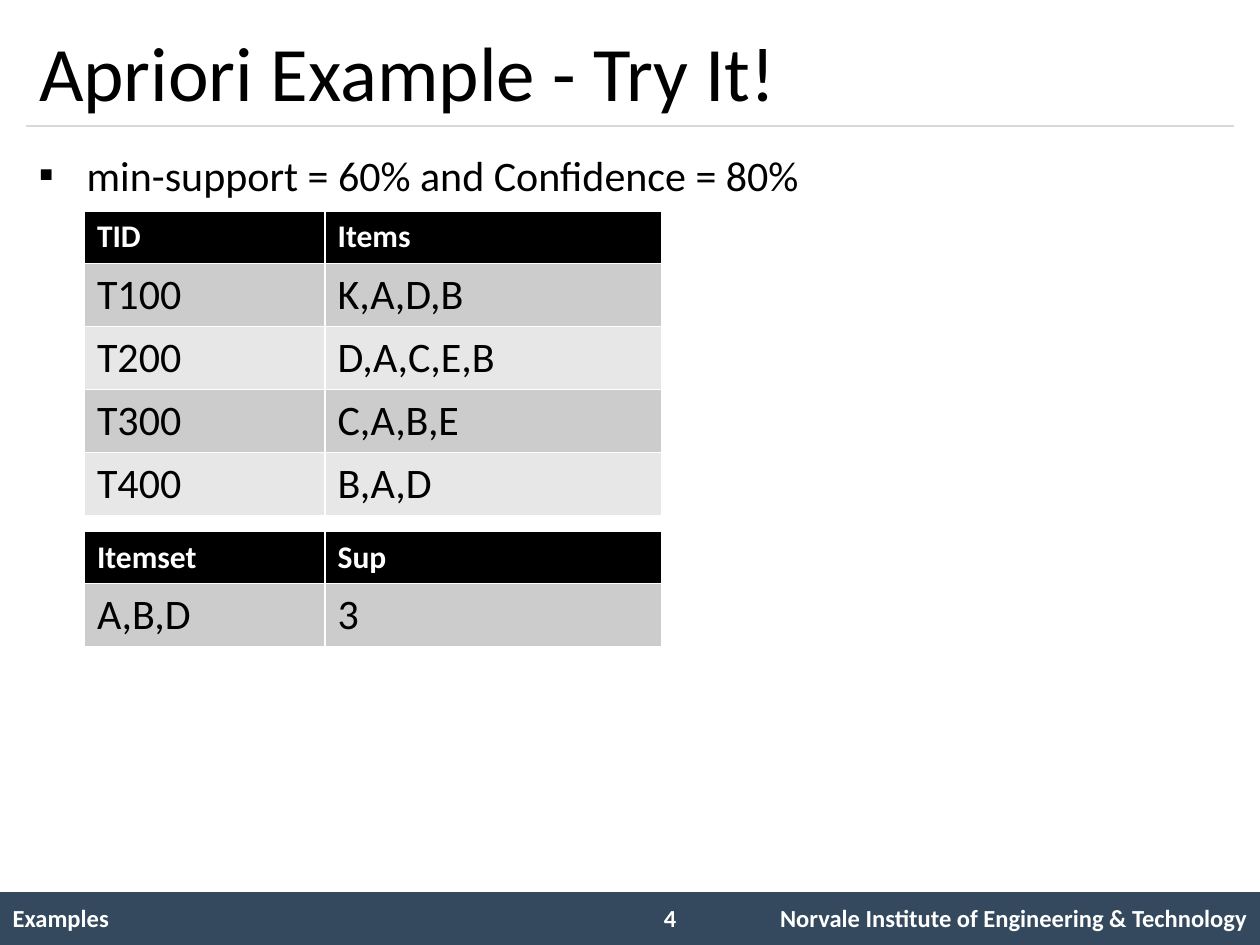
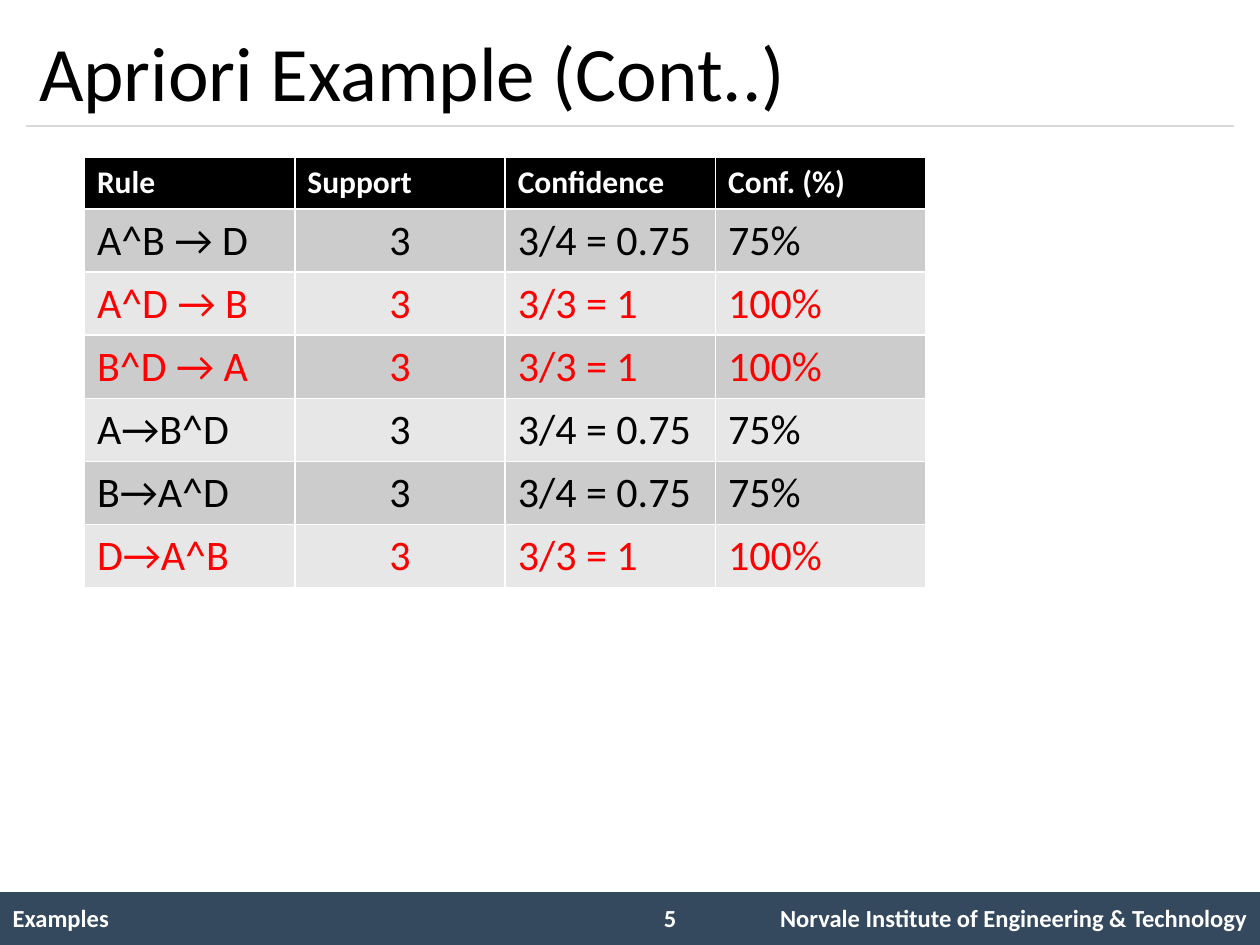
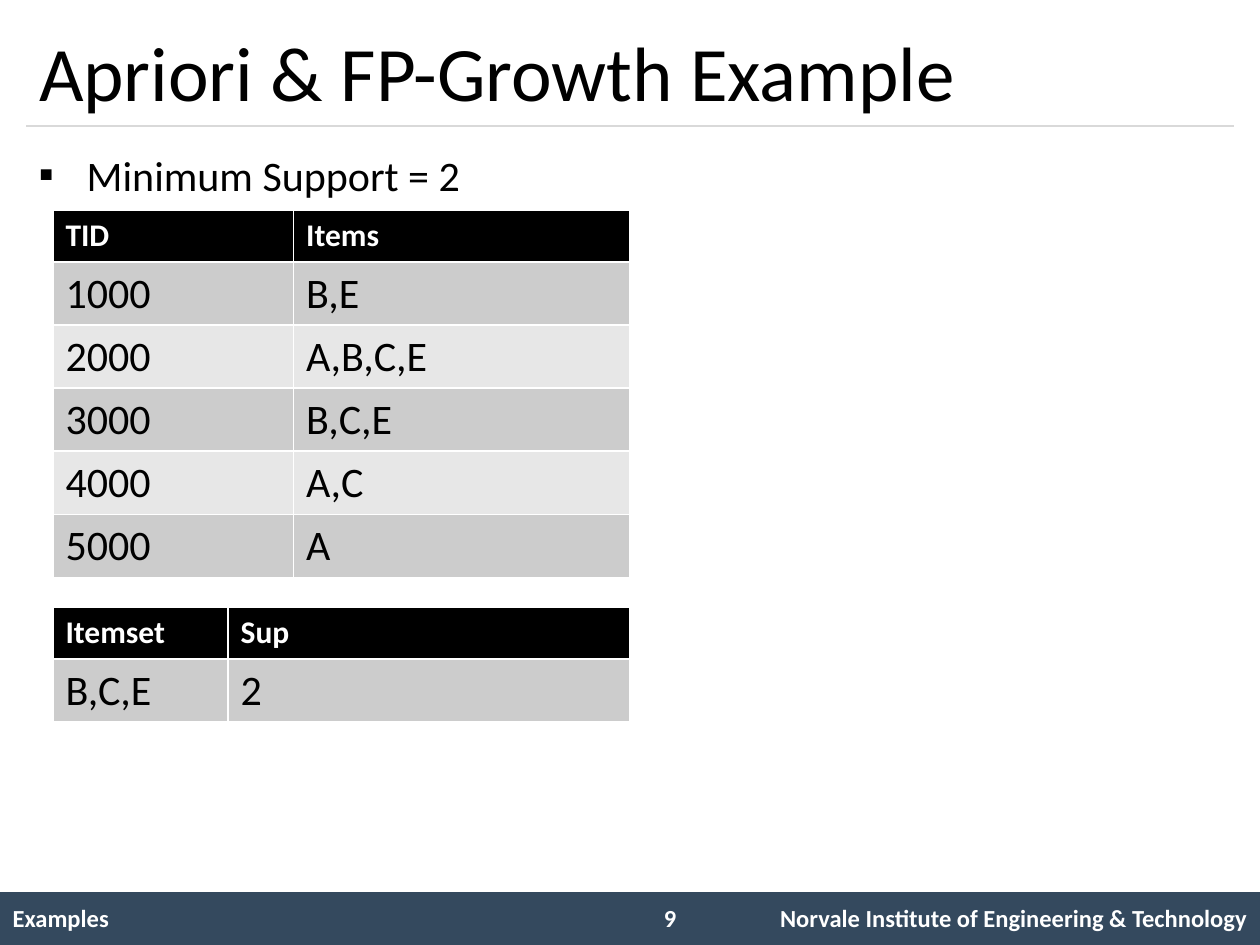
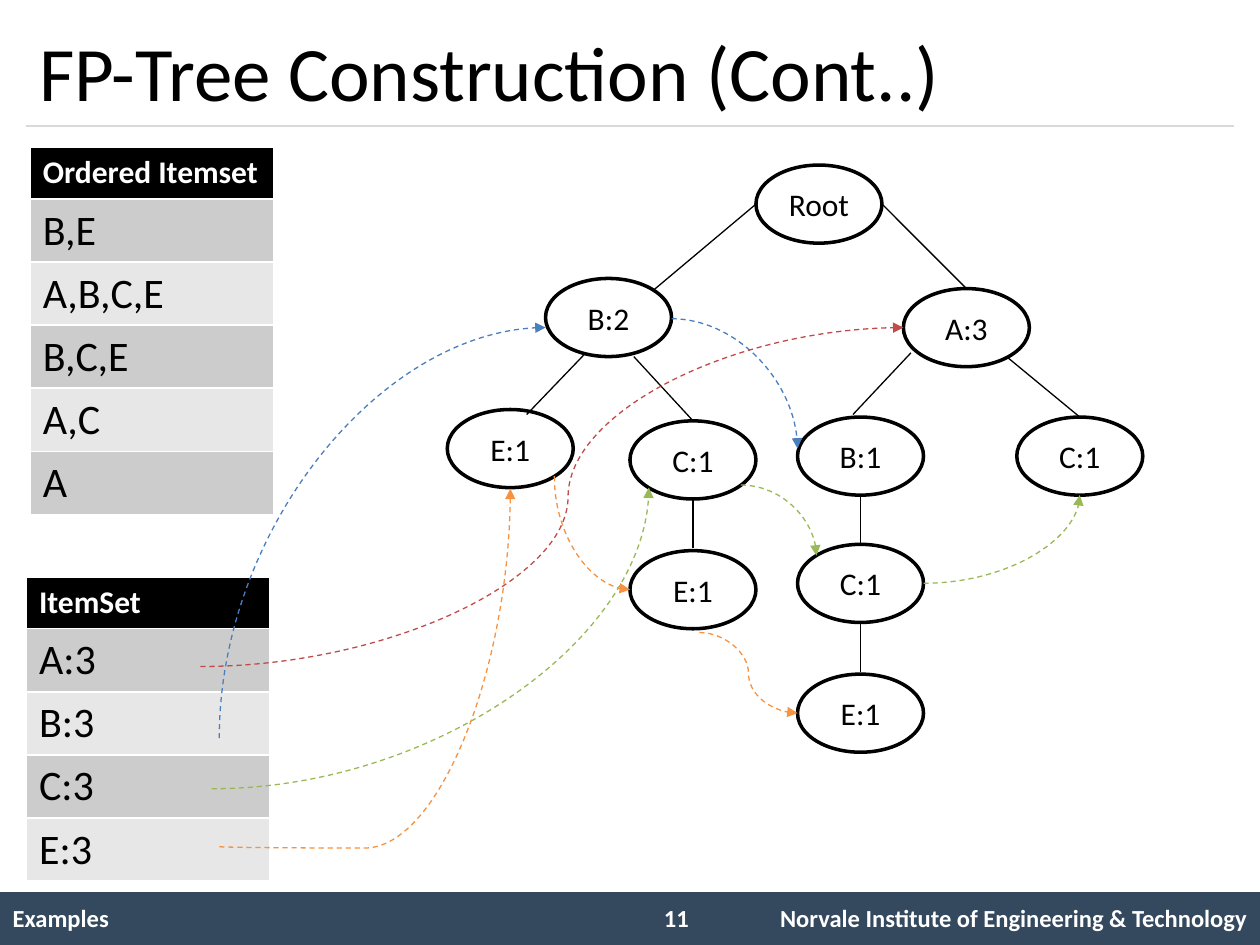
from dataclasses import dataclass
from typing import NamedTuple

from lxml.etree import SubElement
from pptx import Presentation
from pptx.dml.color import RGBColor
from pptx.enum.dml import MSO_LINE
from pptx.enum.shapes import MSO_CONNECTOR, MSO_SHAPE
from pptx.enum.text import MSO_ANCHOR, MSO_AUTO_SIZE, PP_ALIGN
from pptx.oxml.ns import qn
from pptx.util import Pt

EMU_PER_PX = 9144
PLAIN_TABLE_STYLE = "{2D5ABB26-0587-4C30-8999-92F81FD0307C}"
GRID_TABLE_STYLE = "{073A0DAA-6AF3-43AB-8588-CEC1D06C72B9}"


@dataclass(frozen=True)
class Theme:
    font: str = "Calibri"
    black: str = "000000"
    white: str = "FFFFFF"
    band: str = "34495E"
    rule: str = "D9D9D9"
    highlight: str = "FF0000"
    row_fills: tuple[str, str] = ("CCCCCC", "E7E7E7")
    blue: str = "4B7EBC"
    red: str = "BF4C48"
    green: str = "98B955"
    orange: str = "F69240"
    title_size: int = 44
    body_size: int = 24
    label_size: int = 18
    footer_size: int = 14


THEME = Theme()


class Point(NamedTuple):
    x: int
    y: int


class Box(NamedTuple):
    left: int
    top: int
    width: int
    height: int


@dataclass(frozen=True)
class Grid:
    left: int
    top: int
    columns: tuple[int, ...]
    rows: tuple[tuple[str, ...], ...]
    centred_column: int | None = None
    highlighted_rows: tuple[int, ...] = ()
    header_height: int = 41
    row_height: int = 50


class Node(NamedTuple):
    text: str
    left: int
    top: int


class Edge(NamedTuple):
    begin: Point
    end: Point


class Link(NamedTuple):
    color: str
    begin: Point
    end: Point
    rotation: int = 0
    bend: int | None = None


TREE_NODES = (
    Node("Root", 600, 131),
    Node("B:2", 433, 221),
    Node("E:1", 355, 325),
    Node("A:3", 717, 229),
    Node("B:1", 633, 331),
    Node("C:1", 807, 331),
    Node("C:1", 633, 432),
    Node("E:1", 633, 535),
    Node("C:1", 500, 334),
    Node("E:1", 500, 437),
)

TREE_EDGES = (
    Edge(Point(519, 230), Point(600, 162)),
    Edge(Point(418, 329), Point(465, 280)),
    Edge(Point(700, 162), Point(767, 229)),
    Edge(Point(800, 284), Point(857, 331)),
    Edge(Point(503, 283), Point(550, 334)),
    Edge(Point(677, 329), Point(723, 280)),
    Edge(Point(683, 432), Point(683, 393)),
    Edge(Point(683, 533), Point(683, 494)),
    Edge(Point(550, 435), Point(550, 397)),
)

ITEM_LINKS = (
    Link(THEME.blue, Point(174, 586), Point(433, 260), 90),
    Link(THEME.blue, Point(533, 253), Point(633, 356)),
    Link(THEME.red, Point(159, 529), Point(717, 260), bend=52300),
    Link(THEME.green, Point(168, 626), Point(515, 387)),
    Link(THEME.green, Point(588, 385), Point(648, 441)),
    Link(THEME.green, Point(733, 463), Point(857, 393)),
    Link(THEME.orange, Point(174, 672), Point(405, 388), 90, -400),
    Link(THEME.orange, Point(440, 378), Point(500, 468), 270),
    Link(THEME.orange, Point(555, 502), Point(633, 566), bend=50000),
)


def px(value: float) -> int:
    """Turn px into EMU."""
    return round(value * EMU_PER_PX)


def emu(box: tuple[float, ...]) -> list[int]:
    """Turn a run of px lengths into EMU."""
    return [px(value) for value in box]


def color_of(value: str) -> RGBColor:
    """Turn a hex value into a colour."""
    return RGBColor.from_string(value)


def write(text_frame, text: str, size: int, color: str, bold: bool = False, align=PP_ALIGN.LEFT):
    """Write one paragraph and return it."""
    text_frame.text = text
    paragraph = text_frame.paragraphs[0]
    paragraph.alignment = align
    font = paragraph.font
    font.name, font.size, font.bold = THEME.font, Pt(size), bold
    font.color.rgb = color_of(color)
    return paragraph


def add_text_box(slide, box: Box):
    """Add a wrapping text box and return its frame."""
    text_frame = slide.shapes.add_textbox(*emu(box)).text_frame
    text_frame.word_wrap = True
    return text_frame


def add_line(slide, begin: tuple, end: tuple, color: str, kind=MSO_CONNECTOR.STRAIGHT):
    """Add a thin connector without a shadow."""
    connector = slide.shapes.add_connector(kind, *emu(begin), *emu(end))
    connector.line.color.rgb = color_of(color)
    connector.line.width = Pt(0.75)
    SubElement(connector._element.spPr, qn("a:effectLst"))
    return connector


def add_link(slide, link: Link) -> None:
    """Add a dashed curved arrow, turned about its centre when it starts vertically."""
    begin, end = link.begin, link.end
    if link.rotation:
        sign = 1 if link.rotation == 90 else -1
        centre_x, centre_y = (begin.x + end.x) / 2, (begin.y + end.y) / 2
        begin, end = (
            (centre_x + sign * (point.y - centre_y), centre_y - sign * (point.x - centre_x))
            for point in (begin, end)
        )
    connector = add_line(slide, begin, end, link.color, MSO_CONNECTOR.CURVE)
    connector.line.dash_style = MSO_LINE.DASH
    properties = connector._element.spPr
    SubElement(properties.find(qn("a:ln")), qn("a:tailEnd"), type="triangle")
    if link.rotation:
        properties.find(qn("a:xfrm")).set("rot", str(link.rotation * 60000))
    geometry = properties.find(qn("a:prstGeom"))
    if link.bend is None:
        geometry.set("prst", "curvedConnector2")
    else:
        adjustments = geometry.find(qn("a:avLst"))
        SubElement(adjustments, qn("a:gd"), name="adj1", fmla=f"val {link.bend}")


def add_table(slide, box: Box, columns: tuple[int, ...], row_count: int, style: str):
    """Add a table with the given column widths and style."""
    frame = slide.shapes.add_table(row_count, len(columns), *emu(box))
    table = frame.table
    table._tbl.tblPr.find(qn("a:tableStyleId")).text = style
    for column, width in zip(table.columns, columns):
        column.width = px(width)
    return table


def add_grid(slide, grid: Grid) -> None:
    """Add a table with a black header and grey banded rows."""
    body_height = grid.row_height * (len(grid.rows) - 1)
    box = Box(grid.left, grid.top, sum(grid.columns), grid.header_height + body_height)
    table = add_table(slide, box, grid.columns, len(grid.rows), GRID_TABLE_STYLE)
    for row_index, texts in enumerate(grid.rows):
        header = row_index == 0
        table.rows[row_index].height = px(grid.header_height if header else grid.row_height)
        fill = THEME.black if header else THEME.row_fills[(row_index - 1) % 2]
        highlighted = row_index in grid.highlighted_rows
        color = THEME.white if header else THEME.highlight if highlighted else THEME.black
        size = THEME.label_size if header else THEME.body_size
        for column_index, text in enumerate(texts):
            cell = table.cell(row_index, column_index)
            cell.fill.solid()
            cell.fill.fore_color.rgb = color_of(fill)
            centred = not header and column_index == grid.centred_column
            align = PP_ALIGN.CENTER if centred else PP_ALIGN.LEFT
            write(cell.text_frame, text, size, color, header, align)


def add_node(slide, node: Node) -> None:
    """Add one labelled ellipse of the tree."""
    shape = slide.shapes.add_shape(MSO_SHAPE.OVAL, *emu((node.left, node.top, 100, 62)))
    shape.shadow.inherit = False
    shape.fill.solid()
    shape.fill.fore_color.rgb = color_of(THEME.white)
    shape.line.color.rgb = color_of(THEME.black)
    shape.line.width = Pt(2)
    shape.text_frame.vertical_anchor = MSO_ANCHOR.MIDDLE
    write(shape.text_frame, node.text, THEME.label_size, THEME.black, align=PP_ALIGN.CENTER)


def add_bullet(slide, text: str) -> None:
    """Add the body text with its square bullet."""
    text_frame = add_text_box(slide, Box(21, 108, 958, 583))
    paragraph = write(text_frame, text, THEME.body_size, THEME.black)
    paragraph.line_spacing = 1.14
    paragraph.space_before = Pt(5)
    properties = paragraph._p.get_or_add_pPr()
    properties.set("marL", str(px(38)))
    properties.set("indent", str(px(-38)))
    SubElement(properties, qn("a:buFont"), typeface=THEME.font)
    SubElement(properties, qn("a:buChar"), char="▪")


def add_footer(slide, number: int) -> None:
    """Add the footer band, its texts and the slide number."""
    band = slide.shapes.add_shape(MSO_SHAPE.RECTANGLE, *emu((0, 708, 1000, 42)))
    band.shadow.inherit = False
    band.fill.solid()
    band.fill.fore_color.rgb = color_of(THEME.band)
    band.line.fill.background()
    table = add_table(slide, Box(0, 708, 1000, 43), (508, 67, 425), 1, PLAIN_TABLE_STYLE)
    table.first_row = table.horz_banding = False
    texts = ("Examples", "", "Norvale Institute of Engineering & Technology")
    for index, text in enumerate(texts):
        cell = table.cell(0, index)
        cell.fill.background()
        cell.vertical_anchor = MSO_ANCHOR.MIDDLE
        align = PP_ALIGN.RIGHT if index == 2 else PP_ALIGN.LEFT
        write(cell.text_frame, text, THEME.footer_size, THEME.white, True, align)
    number_frame = add_text_box(slide, Box(517, 712, 58, 34))
    write(number_frame, str(number), THEME.footer_size, THEME.white, True)


def add_slide(presentation, title: str, number: int):
    """Add a slide with its title, rule and footer."""
    slide = presentation.slides.add_slide(presentation.slide_layouts[5])
    shape = slide.shapes.title
    shape.left, shape.top, shape.width, shape.height = emu((21, 12, 958, 88))
    shape.text_frame.auto_size = MSO_AUTO_SIZE.NONE
    shape.text_frame.vertical_anchor = MSO_ANCHOR.MIDDLE
    write(shape.text_frame, title, THEME.title_size, THEME.black)
    add_line(slide, Point(21, 100), Point(979, 100), THEME.rule)
    add_footer(slide, number)
    return slide


def build_try_it(presentation) -> None:
    """Build the exercise slide."""
    slide = add_slide(presentation, "Apriori Example - Try It!", 4)
    add_bullet(slide, "min-support = 60% and Confidence = 80%")
    columns = (191, 267)
    add_grid(slide, Grid(67, 168, columns, (
        ("TID", "Items"),
        ("T100", "K,A,D,B"),
        ("T200", "D,A,C,E,B"),
        ("T300", "C,A,B,E"),
        ("T400", "B,A,D"),
    )))
    add_grid(slide, Grid(67, 422, columns, (("Itemset", "Sup"), ("A,B,D", "3"))))


def build_rules(presentation) -> None:
    """Build the slide of association rules."""
    slide = add_slide(presentation, "Apriori Example (Cont..)", 5)
    weak, strong = ("3", "3/4 = 0.75", "75%"), ("3", "3/3 = 1", "100%")
    rows = (
        ("Rule", "Support", "Confidence", "Conf. (%)"),
        ("A^B → D", *weak),
        ("A^D → B", *strong),
        ("B^D → A", *strong),
        ("A→B^D", *weak),
        ("B→A^D", *weak),
        ("D→A^B", *strong),
    )
    highlighted = tuple(index for index, row in enumerate(rows) if row[1:] == strong)
    add_grid(slide, Grid(67, 125, (167,) * 4, rows, 1, highlighted))


def build_growth_example(presentation) -> None:
    """Build the slide of transactions for both algorithms."""
    slide = add_slide(presentation, "Apriori & FP-Growth Example", 9)
    add_bullet(slide, "Minimum Support = 2")
    add_grid(slide, Grid(42, 167, (191, 267), (
        ("TID", "Items"),
        ("1000", "B,E"),
        ("2000", "A,B,C,E"),
        ("3000", "B,C,E"),
        ("4000", "A,C"),
        ("5000", "A"),
    )))
    add_grid(slide, Grid(42, 482, (139, 319), (("Itemset", "Sup"), ("B,C,E", "2"))))


def build_tree(presentation) -> None:
    """Build the slide of the tree and its item links."""
    slide = add_slide(presentation, "FP-Tree Construction (Cont..)", 11)
    ordered = ("Ordered Itemset", "B,E", "A,B,C,E", "B,C,E", "A,C", "A")
    counts = ("ItemSet", "A:3", "B:3", "C:3", "E:3")
    for left, top, texts in ((24, 117, ordered), (21, 458, counts)):
        add_grid(slide, Grid(left, top, (193,), tuple((text,) for text in texts)))
    for node in TREE_NODES:
        add_node(slide, node)
    for edge in TREE_EDGES:
        add_line(slide, edge.begin, edge.end, THEME.black)
    for link in ITEM_LINKS:
        add_link(slide, link)


def main() -> None:
    """Build and save the presentation."""
    presentation = Presentation()
    presentation.slide_width, presentation.slide_height = emu((1000, 750))
    for build in (build_try_it, build_rules, build_growth_example, build_tree):
        build(presentation)
    presentation.save("out.pptx")


if __name__ == "__main__":
    main()
